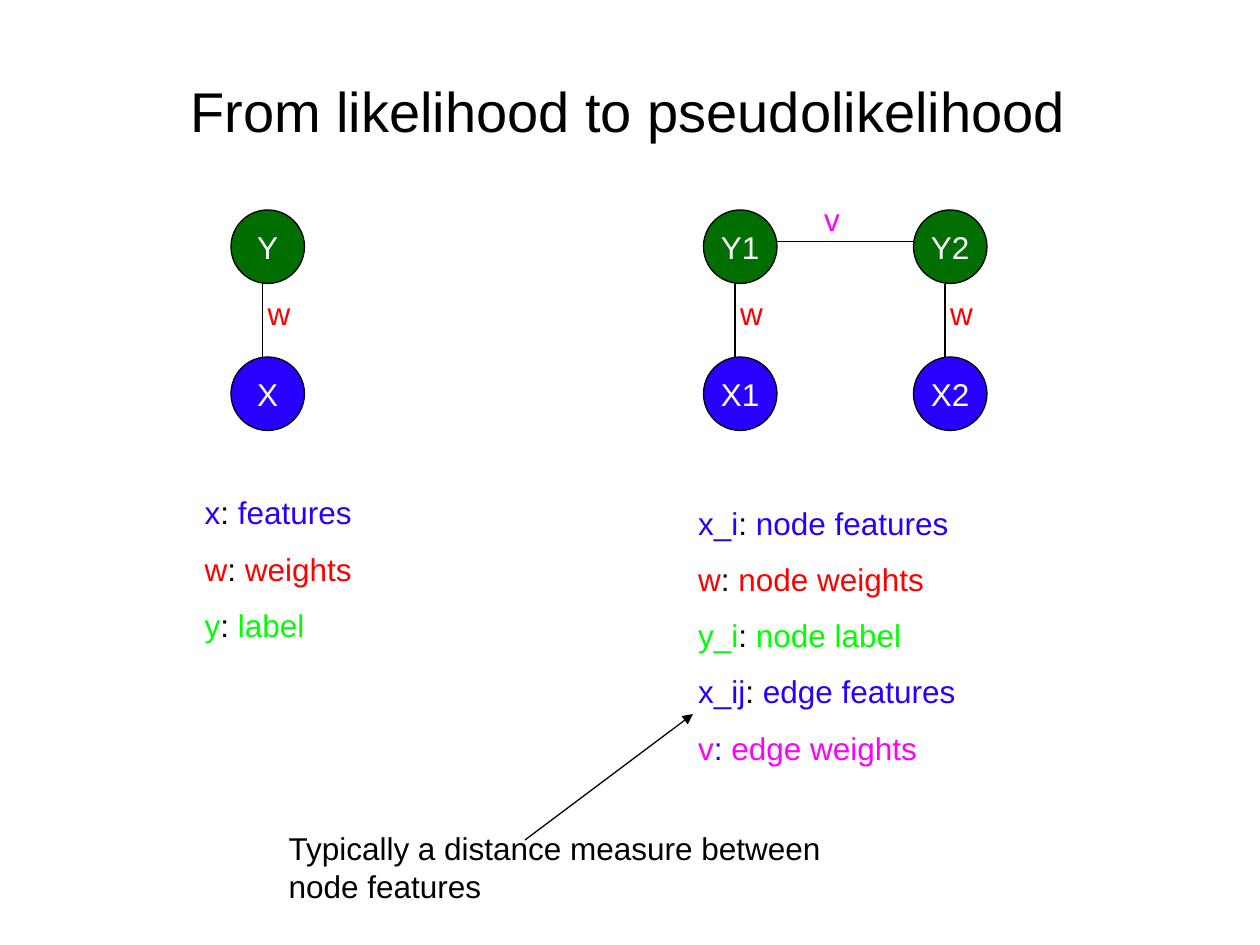
from lxml import etree
from pptx import Presentation
from pptx.dml.color import RGBColor
from pptx.enum.shapes import MSO_CONNECTOR, MSO_SHAPE
from pptx.enum.text import MSO_ANCHOR, PP_ALIGN
from pptx.oxml.ns import qn
from pptx.util import Inches, Pt

STRAIGHT = MSO_CONNECTOR.STRAIGHT
OVAL = MSO_SHAPE.OVAL
MIDDLE = MSO_ANCHOR.MIDDLE
CENTER = PP_ALIGN.CENTER

FONT = "Arial"
BLACK, WHITE = "000000", "FFFFFF"
DARK_GREEN, BLUE = "006E00", "2800FF"
RED, GREEN, MAGENTA = "FF0000", "00FF00", "FF00FF"

# The slide is laid out on a grid of 12 units to the inch
NODE_SIZE = 7
LABEL_ROW, FEATURE_ROW = 20, 34
STEM_OFFSET = 3


def units(count):
    return Inches(count / 12)


def color(hex_value):
    return RGBColor.from_string(hex_value)


def set_font(font, hex_value, size=18):
    font.name = FONT
    font.size = Pt(size)
    font.color.rgb = color(hex_value)


def set_margins(frame, left, right):
    frame.margin_left, frame.margin_right = Inches(left), Inches(right)
    frame.margin_top = frame.margin_bottom = 0


def add_title(slide, text):
    title = slide.shapes.title
    title.left, title.top = units(6), 0
    title.width, title.height = units(108), units(21)
    frame = title.text_frame
    frame.text = text
    frame.vertical_anchor = MIDDLE
    set_margins(frame, 0.15, 0.18)
    paragraph = frame.paragraphs[0]
    paragraph.alignment = CENTER
    set_font(paragraph.font, BLACK, 32)


def add_node(shapes, column, row, text, fill):
    node = shapes.add_shape(OVAL, units(column), units(row),
                            units(NODE_SIZE), units(NODE_SIZE))
    node.shadow.inherit = False
    node.fill.solid()
    node.fill.fore_color.rgb = color(fill)
    node.line.color.rgb = color(BLACK)
    node.line.width = Pt(0.75)
    frame = node.text_frame
    frame.text = text
    frame.word_wrap = False
    frame.vertical_anchor = MIDDLE
    set_margins(frame, 0, 0)
    paragraph = frame.paragraphs[0]
    paragraph.alignment = CENTER
    set_font(paragraph.font, WHITE)


def add_line(shapes, start, end, arrow=False):
    line = shapes.add_connector(STRAIGHT, *map(units, start + end))
    line.line.color.rgb = color(BLACK)
    line.line.width = Pt(0.75)
    properties = line._element.spPr
    if arrow:
        outline = properties.find(qn("a:ln"))
        etree.SubElement(outline, qn("a:tailEnd"), type="triangle")
    etree.SubElement(properties, qn("a:effectLst"))


def add_text(shapes, column, row, width, height, paragraphs):
    """Each paragraph is a list of (text, colour) runs."""
    box = shapes.add_textbox(*map(units, (column, row, width, height)))
    frame = box.text_frame
    frame.word_wrap = True
    set_margins(frame, 0.04, 0.04)
    for index, runs in enumerate(paragraphs):
        paragraph = frame.add_paragraph() if index else frame.paragraphs[0]
        paragraph.space_before = Pt(10.5)
        for text, hex_value in runs:
            for number, part in enumerate(text.split("\n")):
                if number:
                    paragraph.add_line_break()
                run = paragraph.add_run()
                run.text = part
                set_font(run.font, hex_value)


def add_label(shapes, column, row, text, hex_value):
    add_text(shapes, column, row, 12, 4.7, [[(text, hex_value)]])


def add_pair(shapes, column, suffix=""):
    """A label node above a feature node, joined by a weighted edge."""
    add_node(shapes, column, LABEL_ROW, "Y" + suffix, DARK_GREEN)
    add_node(shapes, column, FEATURE_ROW, "X" + suffix, BLUE)
    stem = column + STEM_OFFSET
    add_line(shapes, (stem, LABEL_ROW + NODE_SIZE), (stem, FEATURE_ROW))
    add_label(shapes, stem, LABEL_ROW + 8, "w", RED)


def add_legend(shapes, column, row, width, height, entries):
    paragraphs = [[(symbol, hex_value), (": ", separator), (meaning, hex_value)]
                  for symbol, meaning, hex_value, separator in entries]
    add_text(shapes, column, row, width, height, paragraphs)


def main():
    presentation = Presentation()
    presentation.slide_width, presentation.slide_height = Inches(10), Inches(7.5)
    slide = presentation.slides.add_slide(presentation.slide_layouts[5])
    shapes = slide.shapes
    add_title(slide, "From likelihood to pseudolikelihood")

    # Single-node model
    add_pair(shapes.add_group_shape().shapes, 22)

    # Two-node model with an edge between the labels
    pair_shapes = shapes.add_group_shape().shapes
    first, second = 67, 87
    add_pair(pair_shapes, first, "1")
    add_pair(pair_shapes, second, "2")
    add_line(pair_shapes, (first + NODE_SIZE, 23), (second, 23))
    add_label(pair_shapes, 78, 19, "v", MAGENTA)

    # Legends
    add_legend(shapes, 19, 47, 25, 15, [
        ("x", "features", BLUE, BLACK),
        ("w", "weights", RED, BLACK),
        ("y", "label", GREEN, BLACK),
    ])
    add_legend(shapes, 66, 48, 39, 31, [
        ("x_i", "node features", BLUE, BLACK),
        ("w", "node weights", RED, BLACK),
        ("y_i", "node label", GREEN, BLACK),
        ("x_ij", "edge features", BLUE, BLACK),
        ("v", "edge weights", MAGENTA, BLUE),
    ])

    # Remark on the edge features
    add_line(shapes, (50, 80), (66, 68), arrow=True)
    add_text(shapes, 27, 79, 63, 8.2,
             [[("Typically a distance measure between\nnode features", BLACK)]])

    presentation.save("out.pptx")


if __name__ == "__main__":
    main()
